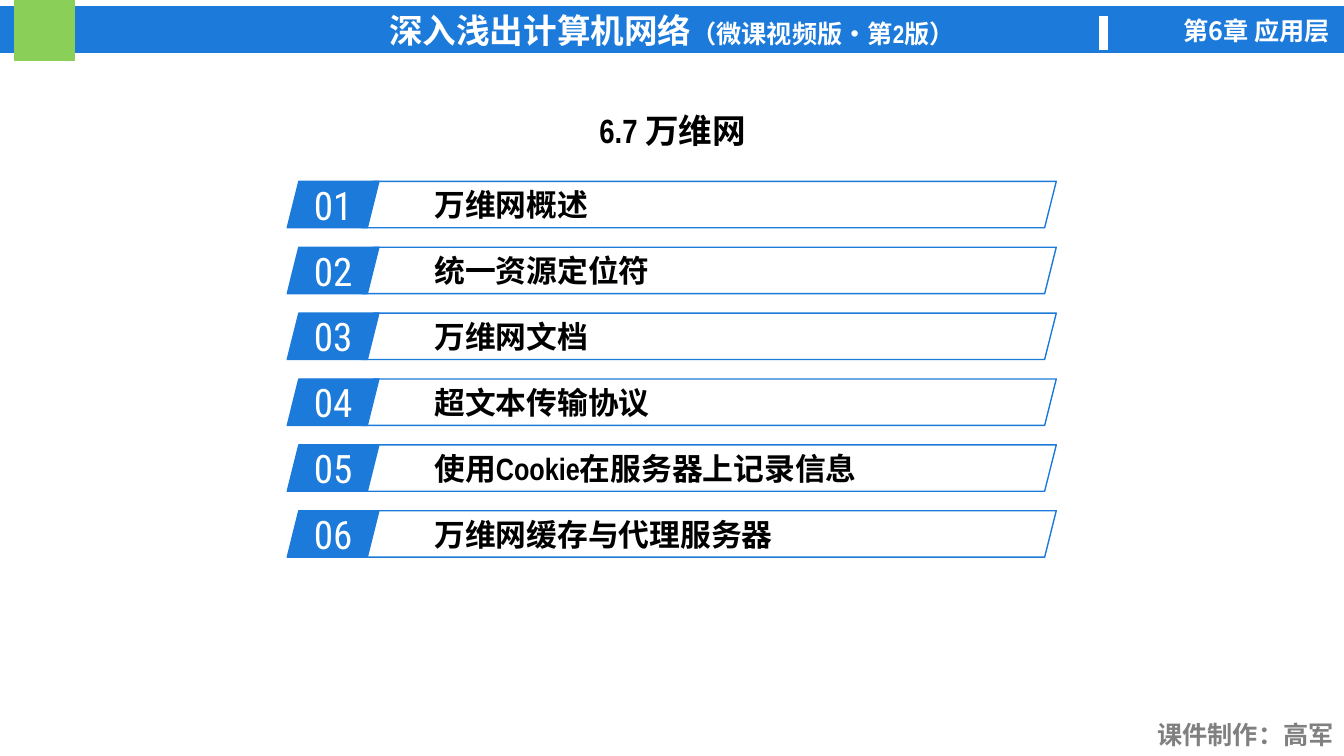
from lxml import etree
from pptx import Presentation
from pptx import util as u
from pptx.dml.color import RGBColor
from pptx.enum import shapes, text
from pptx.oxml.ns import qn

COLOURS = {
    "blue": "1B7ADA",
    "green": "8ACF57",
    "white": "FFFFFF",
    "grey": "808080",
    "black": "000000",
}
LATIN, CHINESE, DIGITS = "Arial Narrow", "Noto Sans CJK SC", "Roboto Condensed"
CENTER, LEFT, RIGHT = text.PP_ALIGN.CENTER, text.PP_ALIGN.LEFT, text.PP_ALIGN.RIGHT
RECTANGLE = shapes.MSO_SHAPE.RECTANGLE
PARALLELOGRAM = shapes.MSO_SHAPE.PARALLELOGRAM

TOPICS = [
    "万维网概述",
    "统一资源定位符",
    "万维网文档",
    "超文本传输协议",
    "使用Cookie在服务器上记录信息",
    "万维网缓存与代理服务器",
]
ROW_TOP, ROW_PITCH, ROW_HEIGHT = 4.57, 1.66, 1.17


class ChapterSlide:
    def __init__(self, presentation):
        self.slide = presentation.slides.add_slide(presentation.slide_layouts[6])

    def shape(self, kind, box, line, fill=None):
        shape = self.slide.shapes.add_shape(kind, *map(u.Cm, box))
        shape.shadow.inherit = False
        shape.line.color.rgb = RGBColor.from_string(COLOURS[line])
        shape.line.width = u.Pt(1)
        if fill:
            shape.fill.solid()
            shape.fill.fore_color.rgb = RGBColor.from_string(COLOURS[fill])
        else:
            shape.fill.background()
        return shape

    def label(self, box, content, size, colour, align, font=LATIN):
        """Add a bold text box."""
        shape = self.slide.shapes.add_textbox(*map(u.Cm, box))
        self.set_text(shape, [(content, size)], colour, align, font)
        return shape

    def set_text(self, shape, parts, colour, align, font=LATIN, bold=True):
        """Fill a shape with one paragraph made of (content, size) parts."""
        shape.text_frame.word_wrap = True
        paragraph = shape.text_frame.paragraphs[0]
        paragraph.alignment = align
        for content, size in parts:
            run = paragraph.add_run()
            run.text = content
            run.font.size = u.Pt(size)
            run.font.bold = bold
            run.font.name = font
            run.font.color.rgb = RGBColor.from_string(COLOURS[colour])
            properties = run._r.get_or_add_rPr()
            east_asian = etree.SubElement(properties, qn("a:ea"))
            east_asian.set("typeface", CHINESE)

    def topic(self, number, title):
        """Add one numbered row of the contents list."""
        top = ROW_TOP + (number - 1) * ROW_PITCH
        badge = self.shape(PARALLELOGRAM, (7.24, top, 2.31, ROW_HEIGHT), "blue", "blue")
        self.set_text(badge, [(f"{number:02}", 28)], "white", CENTER, DIGITS, False)
        frame = self.shape(PARALLELOGRAM, (9.12, top, 17.5, ROW_HEIGHT), "blue")
        self.set_text(frame, [(title, 22)], "black", LEFT)


def main():
    presentation = Presentation()
    presentation.slide_width = u.Cm(33.87)
    presentation.slide_height = u.Cm(19.05)
    chapter = ChapterSlide(presentation)

    banner = chapter.shape(RECTANGLE, (0, 0.18, 33.87, 1.14), "blue", "blue")
    book = [("深入浅出计算机网络", 24), ("（微课视频版•第2版）", 18)]
    chapter.set_text(banner, book, "white", CENTER)
    chapter.shape(RECTANGLE, (0.36, 0, 1.52, 1.52), "green", "green")
    chapter.shape(RECTANGLE, (27.71, 0.41, 0.2, 0.84), "white", "white")
    chapter.label((28.22, 0.25, 5.54, 1.02), "第6章 应用层", 18, "white", RIGHT, CHINESE)
    chapter.label((28.81, 18.01, 5.05, 1.02), "课件制作：高军", 18, "grey", RIGHT)

    section = chapter.label((10.72, 2.69, 12.47, 1.17), "6.7 万维网", 24, "black", CENTER)
    section.text_frame.vertical_anchor = text.MSO_ANCHOR.MIDDLE
    for number, title in enumerate(TOPICS, start=1):
        chapter.topic(number, title)

    presentation.save("out.pptx")


if __name__ == "__main__":
    main()
